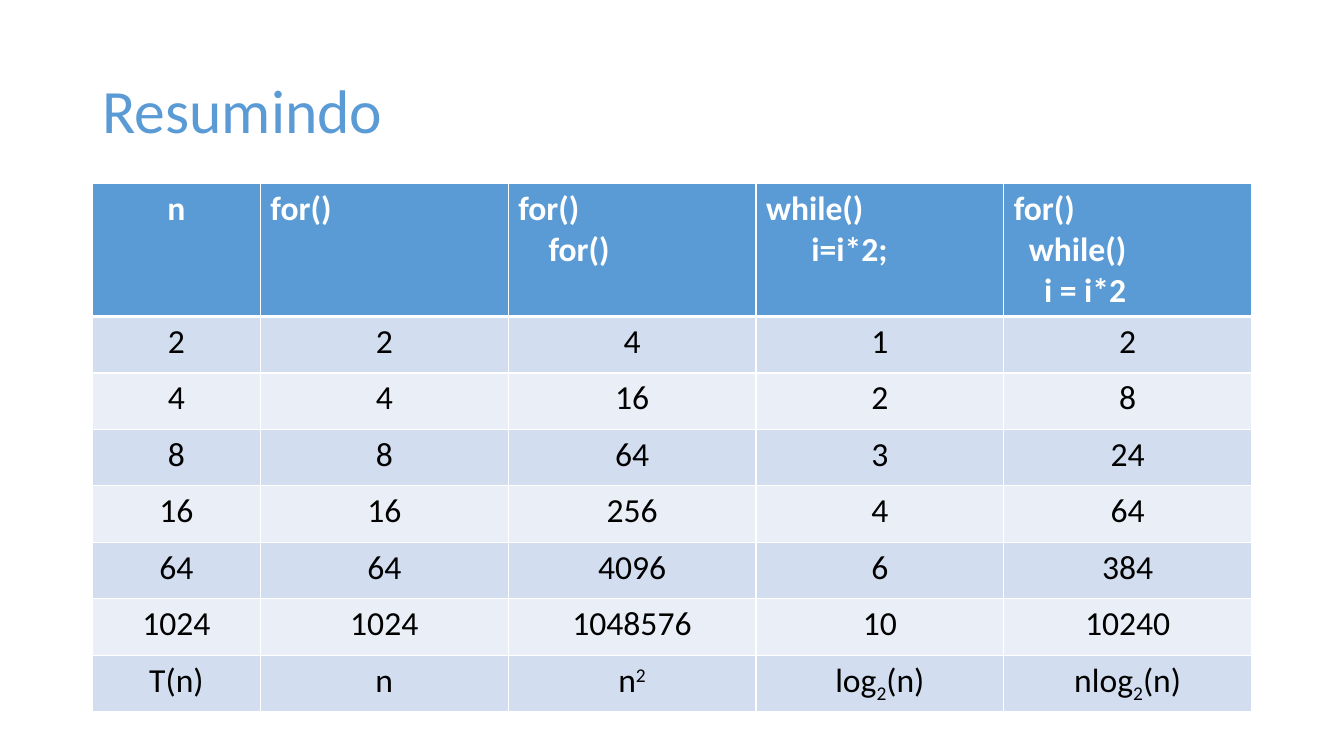
import math
from lxml import etree
from pptx import Presentation
from pptx import util as u
from pptx.dml.color import RGBColor
from pptx.enum import text
from pptx.oxml.ns import qn

BLUE = RGBColor(0x5B, 0x9B, 0xD5)
BAND_DARK = RGBColor(0xD2, 0xDE, 0xEF)
BAND_LIGHT = RGBColor(0xEA, 0xEF, 0xF7)
WHITE = RGBColor(0xFF, 0xFF, 0xFF)
BLACK = RGBColor(0, 0, 0)

prs = Presentation()
prs.slide_width, prs.slide_height = u.Inches(13.33), u.Inches(7.5)
COL, ROW = prs.slide_width / 80, prs.slide_height / 75
INDENT = u.Inches(0.15)
CENTER, LEFT = text.PP_ALIGN.CENTER, text.PP_ALIGN.LEFT

HEADERS = [
    [(0, "n")],
    [(0, "for()")],
    [(0, "for()"), (2, "for()")],
    [(0, "while()"), (3, "i=i*2;")],
    [(0, "for()"), (1, "while()"), (2, "i = i*2")],
]
SIZES = [2, 4, 8, 16, 64, 1024]
LOG = [("log", 0), ("2", -25), ("(n)", 0)]
COSTS = [
    [("T(n)", 0)],
    [("n", 0)],
    [("n", 0), ("2", 30)],
    LOG,
    [("n", 0)] + LOG,
]


def grid_box(x, y, w, h):
    return [u.Emu(round(n)) for n in (x * COL, y * ROW, w * COL, h * ROW)]


def write(p, content, size=24, color=BLACK, bold=False, align=CENTER, indent=0):
    runs = [(content, 0)] if isinstance(content, str) else content
    p.alignment = align
    if indent:
        p._p.get_or_add_pPr().set("marL", str(indent * INDENT))
    for words, baseline in runs:
        r = p.add_run()
        r.text = words
        r.font.name, r.font.size = "Calibri", u.Pt(size)
        r.font.color.rgb, r.font.bold = color, bold
        if baseline:
            r._r.get_or_add_rPr().set("baseline", str(baseline * 1000))


def style_cell(cell, fill, top=1, bottom=1):
    tc_pr = cell._tc.get_or_add_tcPr()
    for side, width in (("L", 1), ("R", 1), ("T", top), ("B", bottom)):
        ln = etree.SubElement(tc_pr, qn("a:ln" + side), w=str(u.Pt(width)))
        solid = etree.SubElement(ln, qn("a:solidFill"))
        etree.SubElement(solid, qn("a:srgbClr"), val=str(WHITE))
    cell.fill.solid()
    cell.fill.fore_color.rgb = fill


def add_title(s, words, box):
    sp = s.shapes.title
    sp.left, sp.top, sp.width, sp.height = box
    tf = sp.text_frame
    tf.word_wrap = True
    tf.vertical_anchor = text.MSO_ANCHOR.MIDDLE
    p = tf.paragraphs[0]
    p.line_spacing = 0.9
    write(p, words, size=44, color=BLUE, align=LEFT)


def add_growth_table(s, box):
    body = [[str(v) for v in (n, n, n * n, int(math.log2(n)), n * int(math.log2(n)))]
            for n in SIZES] + [COSTS]
    table = s.shapes.add_table(len(body) + 1, len(HEADERS), *box).table
    width, height = box[2:]
    for i, column in enumerate(table.columns):
        column.width = round(width * (14.75 if i else 10) / 69)
    for i, row in enumerate(table.rows):
        row.height = round(height * (5.6 if i else 13) / 52.2)
    for i, lines in enumerate(HEADERS):
        cell = table.cell(0, i)
        style_cell(cell, BLUE, bottom=3)
        tf = cell.text_frame
        for j, (indent, words) in enumerate(lines):
            p = tf.add_paragraph() if j else tf.paragraphs[0]
            write(p, words, color=WHITE, bold=True, indent=indent,
                  align=LEFT if i else CENTER)
    for i, values in enumerate(body, 1):
        for j, value in enumerate(values):
            cell = table.cell(i, j)
            style_cell(cell, BAND_DARK if i % 2 else BAND_LIGHT, top=3 if i == 1 else 1)
            write(cell.text_frame.paragraphs[0], value)


s = prs.slides.add_slide(prs.slide_layouts[5])
add_title(s, "Resumindo", grid_box(5.5, 4, 69, 14.5))
add_growth_table(s, grid_box(5.5, 18.2, 69, 52.2))
prs.save("out.pptx")
